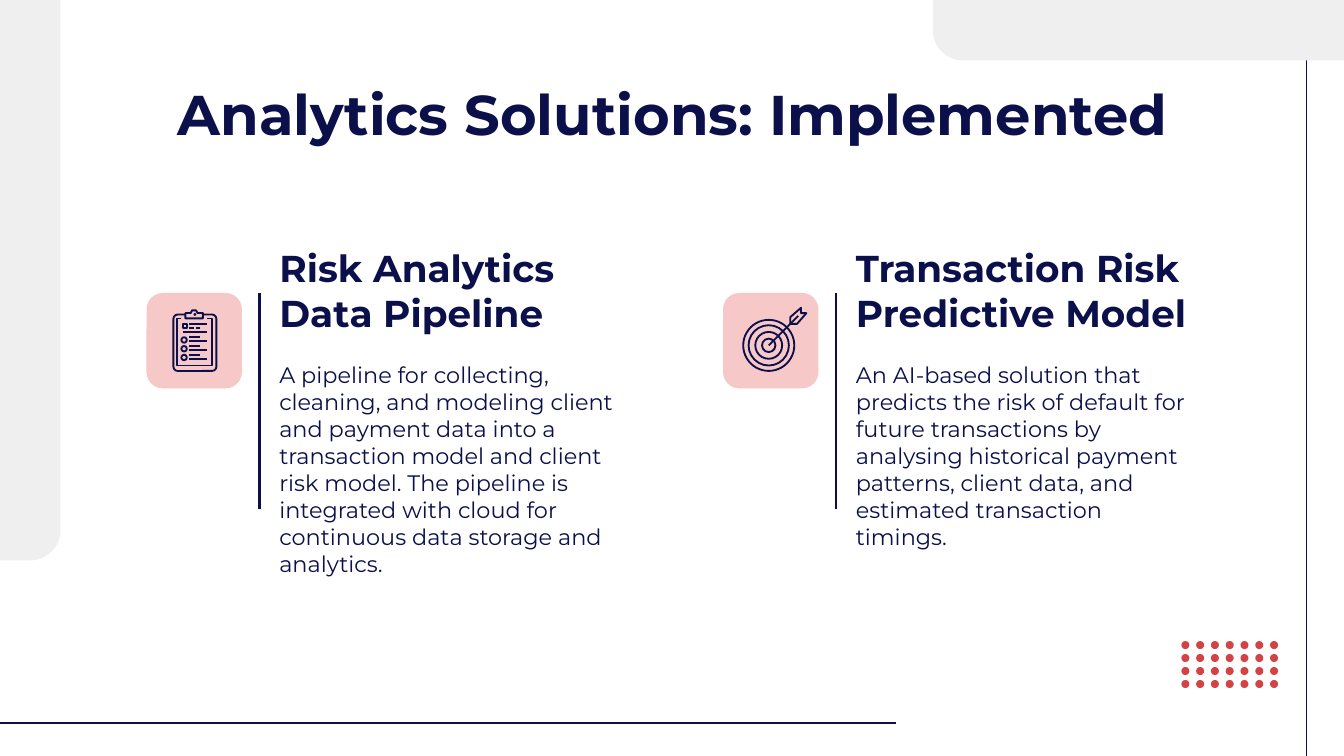
from dataclasses import dataclass

import pptx
import pptx.dml.color
import pptx.enum.shapes
import pptx.enum.text
import pptx.oxml
import pptx.oxml.ns
import pptx.util

Inches = pptx.util.Inches
Pt = pptx.util.Pt
Kind = pptx.enum.shapes.MSO_SHAPE
Anchor = pptx.enum.text.MSO_ANCHOR
Align = pptx.enum.text.PP_ALIGN

NAVY, GREY, PINK, RED = "0B104B", "EFEFEF", "F7C8C8", "D44343"
SLIDE_WIDTH = 10
SLIDE_HEIGHT = SLIDE_WIDTH * 9 / 16
ICON_STROKE = 1
COLUMN_STEP = 4.29

Point = tuple[float, float]


@dataclass
class Solution:
    heading: str
    description: str


SOLUTIONS = [
    Solution("Risk Analytics Data Pipeline",
             "A pipeline for collecting, cleaning, and modeling client and payment data "
             "into a transaction model and client risk model. The pipeline is integrated "
             "with cloud for continuous data storage and analytics."),
    Solution("Transaction Risk Predictive Model",
             "An AI-based solution that predicts the risk of default for future transactions "
             "by analysing historical payment patterns, client data, and estimated "
             "transaction timings."),
]

deck = pptx.Presentation()
deck.slide_width, deck.slide_height = Inches(SLIDE_WIDTH), Inches(SLIDE_HEIGHT)
slide = deck.slides.add_slide(deck.slide_layouts[5])
shapes = slide.shapes


def rgb(value: str) -> pptx.dml.color.RGBColor:
    return pptx.dml.color.RGBColor.from_string(value)


def paint(shape, fill: str | None, outline: str | None) -> None:
    shape.shadow.inherit = False
    if fill:
        shape.fill.solid()
        shape.fill.fore_color.rgb = rgb(fill)
    else:
        shape.fill.background()
    if outline:
        shape.line.color.rgb = rgb(outline)
        shape.line.width = Pt(ICON_STROKE)
    else:
        shape.line.fill.background()


def add_preset(kind, left: float, top: float, width: float, height: float,
               fill: str | None = None, outline: str | None = None,
               corner: float | None = None, rotation: float = 0) -> None:
    shape = shapes.add_shape(kind, Inches(left), Inches(top), Inches(width), Inches(height))
    paint(shape, fill, outline)
    shape.rotation = rotation
    if corner is not None:
        shape.adjustments[0] = corner


def add_circle(x: float, y: float, radius: float,
               fill: str | None = None, outline: str | None = None) -> None:
    add_preset(Kind.OVAL, x - radius, y - radius, 2 * radius, 2 * radius, fill, outline)


def add_line(start: Point, end: Point, width: float) -> None:
    line = shapes.add_connector(pptx.enum.shapes.MSO_CONNECTOR.STRAIGHT,
                                *map(Inches, start + end))
    line.line.color.rgb = rgb(NAVY)
    line.line.width = Pt(width)
    properties = line._element.spPr
    properties.append(properties.makeelement(pptx.oxml.ns.qn("a:effectLst"), {}))


def add_outline(points: list[Point], closed: bool, fill: str | None = None) -> None:
    first, *rest = [(Inches(x), Inches(y)) for x, y in points]
    builder = shapes.build_freeform(*first)
    builder.add_line_segments(rest, close=closed)
    paint(builder.convert_to_shape(), fill, NAVY)


def set_text(shape, text: str, size: float, bold: bool, anchor, align) -> None:
    frame = shape.text_frame
    frame.text = text
    frame.word_wrap = True
    frame.auto_size = pptx.enum.text.MSO_AUTO_SIZE.NONE
    frame.vertical_anchor = anchor
    frame.margin_left = frame.margin_right = Inches(0.1)
    frame.margin_top = frame.margin_bottom = Inches(0.1)
    paragraph = frame.paragraphs[0]
    paragraph.alignment = align
    paragraph.font.name = "Montserrat"
    paragraph.font.size = Pt(size)
    paragraph.font.bold = bold
    paragraph.font.color.rgb = rgb(NAVY)


def add_text(left: float, top: float, height: float, text: str,
             size: float, bold: bool, anchor) -> None:
    box = shapes.add_textbox(Inches(left), Inches(top), Inches(2.69), Inches(height))
    set_text(box, text, size, bold, anchor, Align.LEFT)


def add_solution(solution: Solution, left: float) -> None:
    add_text(left + 0.89, 2.59, 1.97, solution.description, 12, False, Anchor.TOP)
    add_text(left + 0.89, 2.18, 0.41, solution.heading, 20, True, Anchor.BOTTOM)
    add_line((left + 0.84, 3.79), (left + 0.84, 2.18), 1.5)
    add_preset(Kind.ROUNDED_RECTANGLE, left, 2.18, 0.71, 0.71, PINK, corner=0.17)


def add_clipboard(left: float, top: float) -> None:
    """Draw a checklist on a clipboard, placed from its tile's corner."""
    def at(*points: Point) -> list[Point]:
        return [(left + x, top + y) for x, y in points]

    # Board, sheet and clip
    add_preset(Kind.ROUNDED_RECTANGLE, left + 0.2, top + 0.16, 0.32, 0.42,
               outline=NAVY, corner=0.1)
    add_outline(at((0.26, 0.19), (0.23, 0.19), (0.23, 0.54),
                   (0.49, 0.54), (0.49, 0.19), (0.45, 0.19)), closed=False)
    add_outline(at((0.29, 0.19), (0.42, 0.19), (0.42, 0.15), (0.38, 0.15),
                   (0.37, 0.13), (0.34, 0.13), (0.33, 0.15), (0.29, 0.15)),
                closed=True, fill=PINK)
    add_circle(left + 0.36, top + 0.16, 0.01, fill=NAVY)

    # Header with its check box
    add_preset(Kind.RECTANGLE, left + 0.27, top + 0.23, 0.03, 0.03, outline=NAVY)
    rules = [(0.32, 0.45, 0.23), (0.32, 0.35, 0.26), (0.37, 0.4, 0.26), (0.27, 0.45, 0.29)]
    # Listed items: a bullet, a short rule and a long rule each
    for item in range(3):
        y = 0.33 + item * 0.13 / 2
        add_circle(left + 0.28, top + y + 0.02, 0.02, outline=NAVY)
        rules += [(0.32, 0.4, y), (0.32, 0.45, y + 0.03)]
    for start, end, y in rules:
        add_line((left + start, top + y), (left + end, top + y), ICON_STROKE)


def add_target(left: float, top: float) -> None:
    """Draw an arrow in a target, placed from its tile's corner."""
    x, y = left + 0.34, top + 0.39
    for radius in (0.19, 0.15, 0.1, 0.05):
        add_circle(x, y, radius, outline=NAVY)
    add_line((x, y), (x + 0.22, y - 0.22), ICON_STROKE)
    fletching = [(0.16, -0.16), (0.16, -0.21), (0.24, -0.28),
                 (0.24, -0.24), (0.28, -0.24), (0.21, -0.16)]
    add_outline([(x + dx, y + dy) for dx, dy in fletching], closed=True)


# Frame lines and grey corners
add_line((0, 5.38), (6.67, 5.38), 0.75)
add_line((9.72, 5.64), (9.72, 0), 0.75)
add_preset(Kind.ROUND_1_RECTANGLE, 6.94, 0, 3.06, 0.45, GREY, corner=0.5, rotation=180)
add_preset(Kind.ROUND_1_RECTANGLE, -1.86, 1.86, 4.17, 0.45, GREY, corner=0.5, rotation=90)

# Grid of red dots
for row in range(4):
    for column in range(7):
        add_circle(8.82 + column * 0.11, 4.8 + row * 0.29 / 3, 0.03, fill=RED)

# Title
title = shapes.title
title.left, title.top = Inches(0.79), Inches(0.49)
title.width, title.height = Inches(8.43), Inches(0.63)
set_text(title, "Analytics Solutions: Implemented", 30, True, Anchor.TOP, Align.CENTER)

# Solutions with their icons
for index, (solution, add_icon) in enumerate(zip(SOLUTIONS, (add_clipboard, add_target))):
    tile_left = 1.09 + index * COLUMN_STEP
    add_solution(solution, tile_left)
    add_icon(tile_left, 2.18)

deck.save("out.pptx")
